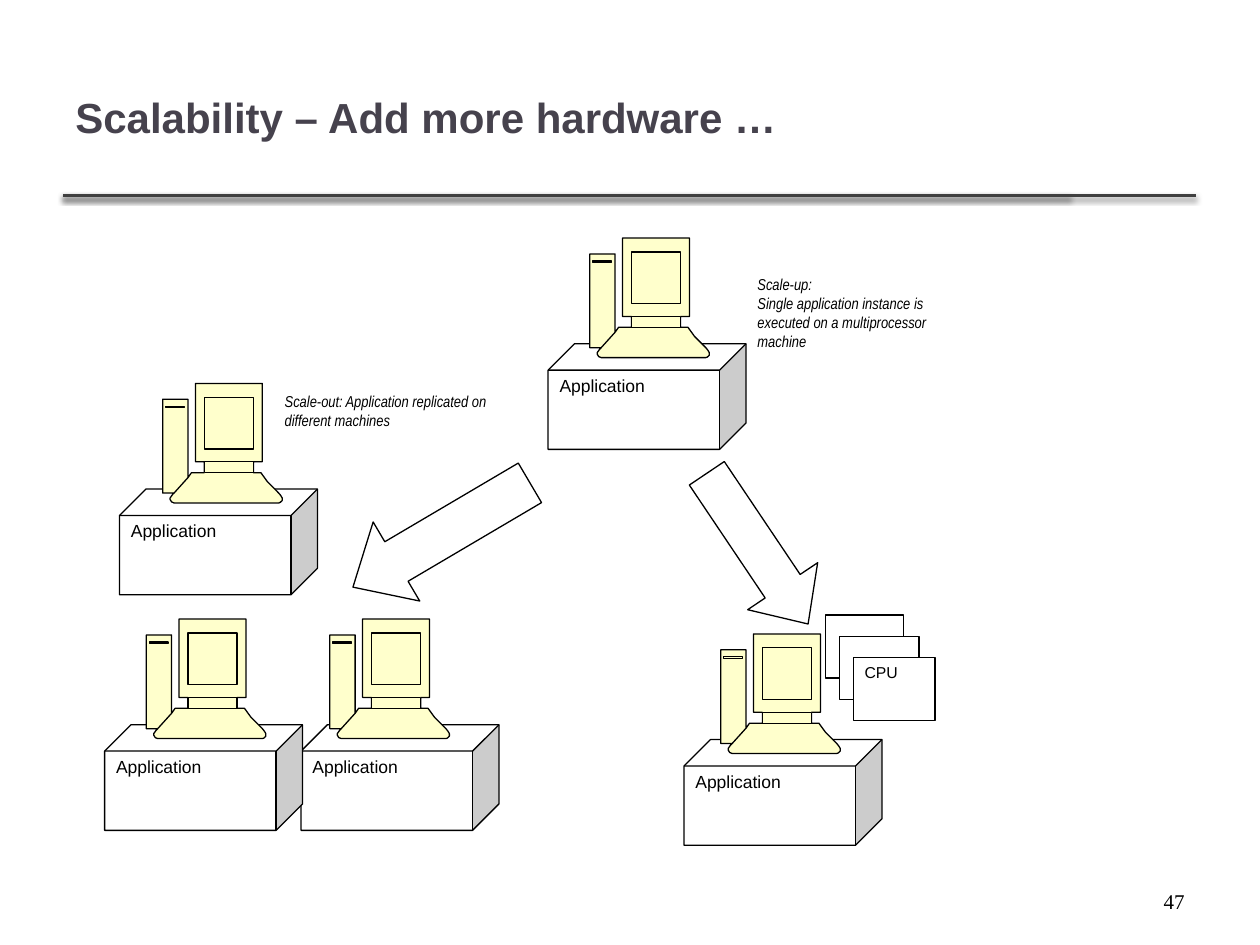
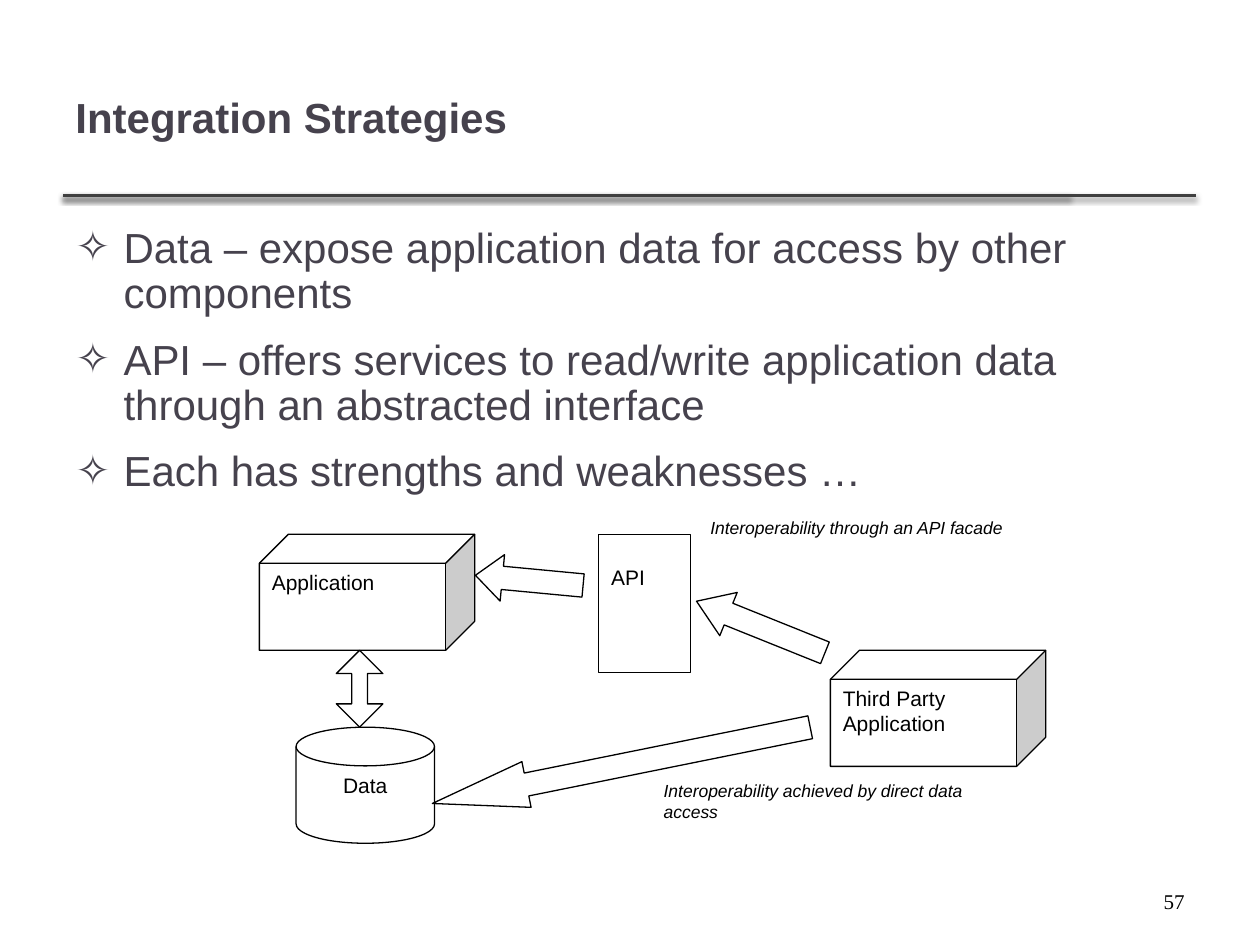
from dataclasses import dataclass
from typing import NamedTuple

from lxml import etree
from pptx import Presentation, util as u
from pptx.dml.color import RGBColor
from pptx.enum import shapes as es, text as et
from pptx.oxml import ns

Cm, Pt = u.Cm, u.Pt
Kind = es.MSO_SHAPE
Align, Anchor = et.PP_ALIGN, et.MSO_ANCHOR


# Theme
@dataclass(frozen=True)
class Theme:
    ink: str = "000000"
    heading: str = "46424D"
    rule: str = "404040"
    paper: str = "FFFFFF"
    computer: str = "FFFFCC"
    sans: str = "Arial"
    narrow: str = "Arial Narrow"
    serif: str = "Times New Roman"
    heading_size: int = 24
    number_size: int = 12
    diagram_size: int = 12
    label_size: int = 10
    small_size: int = 9
    outline: float = 0.75
    rule_width: float = 2


T = Theme()


# Repeated elements, lengths in centimetres
class Box(NamedTuple):
    left: float
    top: float
    width: float
    height: float

    def emu(self) -> list:
        return [Cm(v) for v in self]


class Machine(NamedTuple):
    left: float
    top: float
    computer_left: float


class Arrow(NamedTuple):
    box: Box
    head: float
    rotation: float = 0
    kind: Kind = Kind.LEFT_ARROW


class Caption(NamedTuple):
    box: Box
    lines: list


TITLE = Box(1.27, 0.76, 20.27, 3.18)
BODY = Box(1.27, 4.45, 22.86, 12.57)
NUMBER = Box(18.21, 17.65, 5.92, 1.02)
RULE_LEFT, RULE_TOP, RULE_RIGHTS = 1.27, 3.94, (21.56, 24.1)
SNUG = (0.23, 0.1)
ROOMY = (0.25, 0.13)


def rectangle(left: float, top: float, right: float, bottom: float) -> list:
    return [(left, top), (right, top), (right, bottom), (left, bottom)]


# Computer outline: base, neck, monitor, base again, then the tower
COMPUTER = [
    [(0.23, 2.21), (0.51, 1.9), (0.58, 1.8), (0.84, 1.8), (0.84, 1.58),
     (0.66, 1.58), (0.66, 0), (2.01, 0), (2.01, 1.58), (1.83, 1.58),
     (1.83, 1.8), (1.98, 1.8), (2.11, 1.98), (2.34, 2.21), (2.38, 2.26),
     (2.41, 2.31), (2.41, 2.36), (2.37, 2.4), (2.34, 2.41), (0.23, 2.41),
     (0.18, 2.39), (0.15, 2.34), (0.15, 2.31), (0.2, 2.24), (0.23, 2.21),
     (0, 2.21), (0, 0.32), (0.51, 0.32), (0.51, 1.9)],
    rectangle(0.84, 0.28, 1.83, 1.32),  # screen
    rectangle(0.84, 1.58, 1.83, 1.8),  # neck
    rectangle(0.06, 0.46, 0.44, 0.49),  # drive slot
]
COMPUTER_RISE = 2.13


# Drawing functions
def write(tf, lines: list, *, size: float, font: str = T.sans, color: str = T.ink,
          bold: bool = False, italic: bool = False, align=Align.LEFT,
          anchor=Anchor.TOP, inset: tuple = ROOMY, top_inset: float = None,
          bullet: str = "") -> None:
    tf.word_wrap = True
    tf.auto_size = et.MSO_AUTO_SIZE.NONE
    tf.vertical_anchor = anchor
    side, edge = inset
    tf.margin_left = tf.margin_right = Cm(side)
    tf.margin_top = Cm(edge if top_inset is None else top_inset)
    tf.margin_bottom = Cm(edge)
    for i, line in enumerate(lines):
        p = tf.add_paragraph() if i else tf.paragraphs[0]
        if bullet:
            pPr = p._p.get_or_add_pPr()
            pPr.set("marL", str(Cm(0.97)))
            pPr.set("indent", str(-Cm(0.97)))
            etree.SubElement(pPr, ns.qn("a:buChar"), char=bullet)
            p.line_spacing = 0.9
            p.space_before = Pt(6 if i else 0)
            p.space_after = Pt(6)
        p.alignment = align
        r = p.add_run()
        r.text = line
        f = r.font
        f.name, f.size, f.bold, f.italic = font, Pt(size), bold, italic
        f.color.rgb = RGBColor.from_string(color)


def paint(sp, fill: str = T.paper) -> None:
    sp.shadow.inherit = False
    sp.fill.solid()
    sp.fill.fore_color.rgb = RGBColor.from_string(fill)
    sp.line.color.rgb = RGBColor.from_string(T.ink)
    sp.line.width = Pt(T.outline)


def add_block(s, kind: Kind, box: Box, text: str = "", **style):
    sp = s.shapes.add_shape(kind, *box.emu())
    paint(sp)
    if text:
        write(sp.text_frame, [text], **style)
    return sp


def add_arrow(s, arrow: Arrow) -> None:
    sp = add_block(s, arrow.kind, arrow.box)
    sp.adjustments[0], sp.adjustments[1] = 0.5, arrow.head
    sp.rotation = arrow.rotation


def add_text(s, box: Box, lines: list, **style) -> None:
    write(s.shapes.add_textbox(*box.emu()).text_frame, lines, **style)


def add_computer(s, left: float, top: float) -> None:
    for outline in COMPUTER:
        points = [(Cm(left + x), Cm(top + y)) for x, y in outline]
        builder = s.shapes.build_freeform(*points[0])
        builder.add_line_segments(points[1:], close=True)
        paint(builder.convert_to_shape(), T.computer)


def add_machine(s, machine: Machine) -> None:
    add_block(s, Kind.CUBE, Box(machine.left, machine.top, 3.99, 2.13),
              "Application", size=T.label_size, inset=SNUG)
    add_computer(s, machine.computer_left, machine.top - COMPUTER_RISE)


def add_rule(s, right: float) -> None:
    c = s.shapes.add_connector(es.MSO_CONNECTOR.STRAIGHT, Cm(RULE_LEFT),
                               Cm(RULE_TOP), Cm(right), Cm(RULE_TOP))
    c.line.color.rgb = RGBColor.from_string(T.rule)
    c.line.width = Pt(T.rule_width)
    effects = etree.SubElement(c._element.spPr, ns.qn("a:effectLst"))
    shadow = etree.SubElement(effects, ns.qn("a:outerShdw"), blurRad=str(Pt(3.1)),
                              dist=str(Pt(1.6)), dir="5400000", rotWithShape="0")
    color = etree.SubElement(shadow, ns.qn("a:srgbClr"), val=T.ink)
    etree.SubElement(color, ns.qn("a:alpha"), val="38000")


def place(sp, box: Box) -> None:
    sp.left, sp.top, sp.width, sp.height = box.emu()


def add_slide(prs, layout: int, title: str, number: int):
    s = prs.slides.add_slide(prs.slide_layouts[layout])
    for right in RULE_RIGHTS:
        add_rule(s, right)
    place(s.shapes.title, TITLE)
    write(s.shapes.title.text_frame, [title], size=T.heading_size,
          color=T.heading, bold=True, anchor=Anchor.MIDDLE)
    add_text(s, NUMBER, [str(number)], size=T.number_size, font=T.serif,
             align=Align.RIGHT, anchor=Anchor.MIDDLE)
    return s


# Slides
def scalability(prs) -> None:
    s = add_slide(prs, 5, "Scalability – Add more hardware …", 47)
    for machine in (
        Machine(11.05, 6.93, 11.89),
        Machine(6.07, 14.61, 6.65),
        Machine(2.11, 14.61, 2.95),
        Machine(13.79, 14.91, 14.53),
        Machine(2.41, 9.86, 3.28),
    ):
        add_machine(s, machine)

    add_arrow(s, Arrow(Box(6.83, 9.86, 4.14, 1.85), 0.55, 329.5))
    add_arrow(s, Arrow(Box(13.44, 10.21, 3.66, 1.7), 0.54, 236.1))

    for caption in (
        Caption(Box(5.51, 7.8, 4.55, 2.13),
                ["Scale-out: Application replicated on different machines"]),
        Caption(Box(15.04, 5.44, 4.42, 3.15),
                ["Scale-up:", "Single application instance is executed on a "
                 "multiprocessor machine"]),
    ):
        add_text(s, caption.box, caption.lines, size=T.small_size,
                 font=T.narrow, italic=True, inset=SNUG)

    # Stack of processors, labelled on the front one
    for i, label in enumerate(("", "", "CPU")):
        box = Box(16.64 + 0.28 * i, 12.4 + 0.43 * i, 1.57 + 0.04 * i, 1.27)
        add_block(s, Kind.RECTANGLE, box, label, size=T.small_size, inset=SNUG)


def integration(prs) -> None:
    s = add_slide(prs, 1, "Integration Strategies", 57)
    body = s.placeholders[1]
    place(body, BODY)
    write(body.text_frame, [
        "Data – expose application data for access by other components",
        "API – offers services to read/write application data through an "
        "abstracted interface",
        "Each has strengths and weaknesses …",
    ], size=T.heading_size, color=T.heading, bullet="✧")

    # Systems
    size = T.diagram_size
    add_block(s, Kind.CUBE, Box(5.23, 10.77, 4.34, 2.34), "Application", size=size)
    add_block(s, Kind.FLOWCHART_MAGNETIC_DISK, Box(5.97, 14.66, 2.79, 2.34),
              "Data", size=size, align=Align.CENTER)
    add_block(s, Kind.CUBE, Box(16.74, 13.11, 4.34, 2.34),
              "Third Party Application", size=size)
    add_block(s, Kind.RECTANGLE, Box(12.07, 10.77, 1.85, 2.79), "API",
              size=size, top_inset=0.61)

    # Data flows
    for arrow in (
        Arrow(Box(6.78, 13.11, 0.94, 1.55), 0.34, kind=Kind.UP_DOWN_ARROW),
        Arrow(Box(13.94, 12.17, 2.79, 0.94), 0.74, 21.9),
        Arrow(Box(9.58, 11.23, 2.18, 0.94), 0.58, 5.4),
        Arrow(Box(8.64, 14.96, 7.77, 0.94), 2.06, 348.6),
    ):
        add_arrow(s, arrow)

    for caption in (
        Caption(Box(14.07, 10.29, 7.16, 2.03),
                ["Interoperability through an API facade"]),
        Caption(Box(13.13, 15.6, 7.16, 1.55),
                ["Interoperability achieved by direct data access"]),
    ):
        add_text(s, caption.box, caption.lines, size=T.label_size, italic=True)


def main() -> None:
    prs = Presentation()
    prs.slide_width, prs.slide_height = Cm(25.4), Cm(19.05)
    scalability(prs)
    integration(prs)
    prs.save("out.pptx")


if __name__ == "__main__":
    main()
